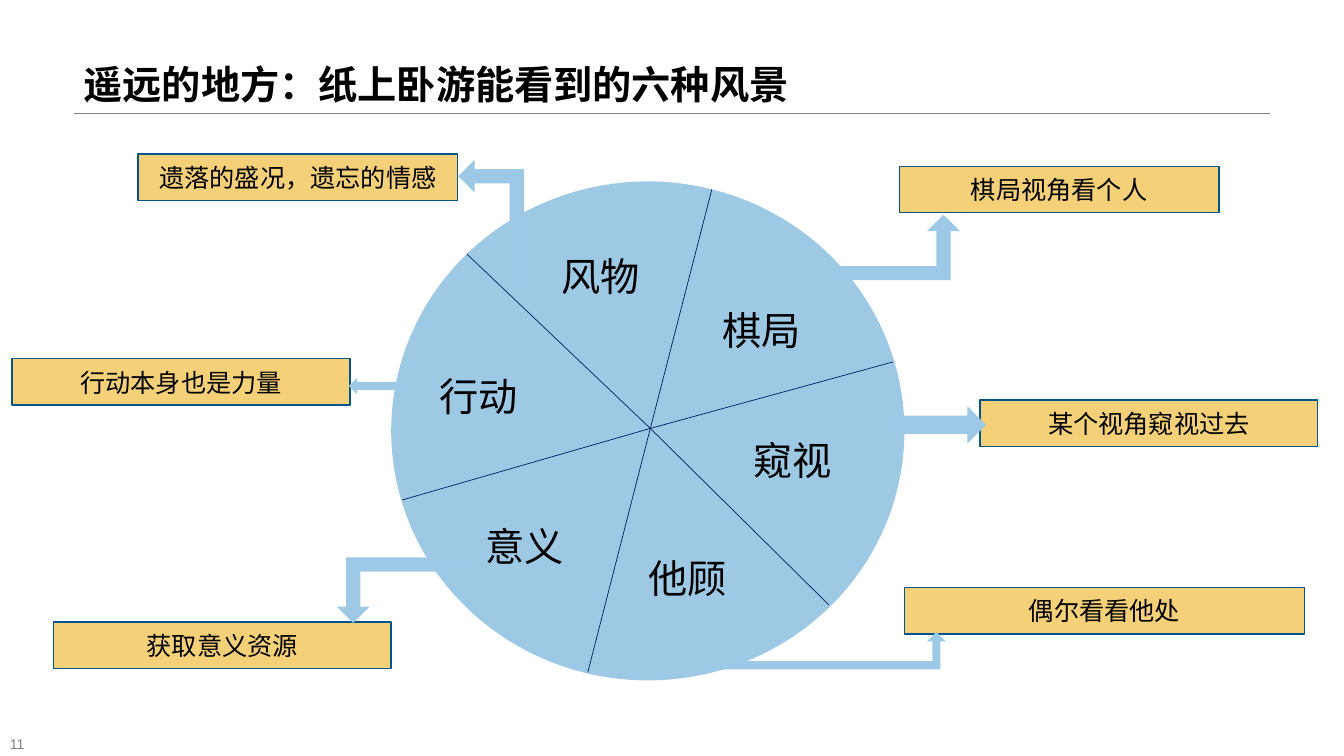
from lxml import etree
from pptx import Presentation
from pptx.dml.color import RGBColor
from pptx.enum.shapes import MSO_CONNECTOR, MSO_SHAPE
from pptx.enum.text import MSO_ANCHOR, MSO_AUTO_SIZE, PP_ALIGN
from pptx.oxml.ns import qn
from pptx.util import Inches, Pt

RECT, OVAL = MSO_SHAPE.RECTANGLE, MSO_SHAPE.OVAL
RIGHT, LEFT = MSO_SHAPE.RIGHT_ARROW, MSO_SHAPE.LEFT_ARROW
BENT = MSO_SHAPE.BENT_UP_ARROW
STRAIGHT = MSO_CONNECTOR.STRAIGHT
MIDDLE, BOTTOM = MSO_ANCHOR.MIDDLE, MSO_ANCHOR.BOTTOM
CENTER, START = PP_ALIGN.CENTER, PP_ALIGN.LEFT
NO_FIT, GROW = MSO_AUTO_SIZE.NONE, MSO_AUTO_SIZE.SHAPE_TO_FIT_TEXT

COLORS = {
    "black": "000000", "gray": "808080", "wheel": "0072BD", "spoke": "002060",
    "card": "F4D079", "edge": "00548C", "arrow": "9EC9E6",
}
HUB = (6.45, 4.25)
RIM = [(4.63, 2.52), (7.06, 1.88), (8.86, 3.59),
       (8.22, 6), (5.83, 6.67), (3.99, 4.96)]
# Each scene: sector name, its left and top, card text, card left, top, width
SCENES = [
    ("风物", 5.47, 2.45, "遗落的盛况，遗忘的情感", 1.37, 1.53, 3.17),
    ("棋局", 7.07, 2.99, "棋局视角看个人", 8.92, 1.65, 3.17),
    ("窥视", 7.37, 4.28, "某个视角窥视过去", 9.72, 3.97, 3.35),
    ("他顾", 6.33, 5.45, "偶尔看看他处", 8.97, 5.83, 3.97),
    ("意义", 4.72, 5.13, "获取意义资源", 0.53, 6.17, 3.35),
    ("行动", 4.26, 3.64, "行动本身也是力量", 0.12, 3.56, 3.35),
]
# Each arrow: kind, left, top, width, height, turn
ARROWS = [
    (RIGHT, 8.83, 4.03, 0.95, 0.37, 0),
    (BENT, 8.22, 2.13, 1.3, 0.65, 0),
    (BENT, 7.12, 6.27, 2.26, 0.37, 0),
    (BENT, 4.22, 1.91, 1.3, 0.65, 270),
    (BENT, 3.34, 5.53, 1.3, 0.65, 180),
    (LEFT, 3.46, 3.75, 0.64, 0.16, 0),
]


def color(name):
    return RGBColor.from_string(COLORS[name])


def put_text(frame, text, size, ink="black", align=START, bold=False):
    frame.text = text
    para = frame.paragraphs[0]
    para.alignment = align
    font = para.runs[0].font
    font.name, font.size, font.bold = "Arial", Pt(size), bold
    font.color.rgb = color(ink)


def add_title(slide, text):
    title = slide.shapes.title
    title.left, title.top = Inches(0.73), Inches(0)
    title.width, title.height = Inches(11.87), Inches(1.12)
    frame = title.text_frame
    frame.auto_size = NO_FIT
    frame.vertical_anchor = BOTTOM
    put_text(frame, text, 28, bold=True)
    frame.paragraphs[0].line_spacing = 0.9


def add_label(slide, text, box, size, ink="black"):
    label = slide.shapes.add_textbox(*map(Inches, box))
    frame = label.text_frame
    put_text(frame, text, size, ink)
    return frame


def add_line(slide, start, end, ink, width):
    line = slide.shapes.add_connector(
        STRAIGHT, *map(Inches, (*start, *end)))
    line.line.color.rgb = color(ink)
    line.line.width = Pt(width)
    etree.SubElement(line._element.spPr, qn("a:effectLst"))


def add_form(slide, kind, box, fill):
    form = slide.shapes.add_shape(kind, *map(Inches, box))
    form.shadow.inherit = False
    form.fill.solid()
    form.fill.fore_color.rgb = color(fill)
    form.line.fill.background()
    return form


def add_wheel(slide):
    wheel = add_form(slide, OVAL, (3.88, 1.8, 5.09, 4.95), "wheel")
    tint = wheel._element.spPr.find(qn("a:solidFill"))[0]
    etree.SubElement(tint, qn("a:alpha"), val="38000")
    for end in RIM:
        add_line(slide, HUB, end, "spoke", 0.5)


def add_card(slide, text, left, top, width):
    card = add_form(slide, RECT, (left, top, width, 0.46), "card")
    card.line.color.rgb = color("edge")
    card.line.width = Pt(1)
    card.text_frame.vertical_anchor = MIDDLE
    put_text(card.text_frame, text, 18, align=CENTER)


def add_arrow(slide, kind, left, top, width, height, turn):
    arrow = add_form(slide, kind, (left, top, width, height), "arrow")
    arrow.rotation = turn
    if kind == BENT:
        arrow.adjustments[0] = 0.216


def main():
    deck = Presentation()
    deck.slide_width, deck.slide_height = Inches(13.33), Inches(7.5)
    slide = deck.slides.add_slide(deck.slide_layouts[5])

    # Title, rule and page number
    add_line(slide, (0.73, 1.12), (12.6, 1.12), "gray", 0.25)
    page = add_label(slide, "11", (0, 7.27, 3.18, 0.23), 10, "gray")
    page.word_wrap = True
    page.vertical_anchor = MIDDLE
    add_title(slide, "遥远的地方：纸上卧游能看到的六种风景")

    # Wheel with its sector names and cards
    add_wheel(slide)
    for name, left, top, *card in SCENES:
        frame = add_label(slide, name, (left, top, 0.99, 0.57), 28)
        frame.word_wrap = False
        frame.auto_size = GROW
        add_card(slide, *card)

    # Arrows from the wheel to the cards
    for arrow in ARROWS:
        add_arrow(slide, *arrow)

    deck.save("out.pptx")


if __name__ == "__main__":
    main()
